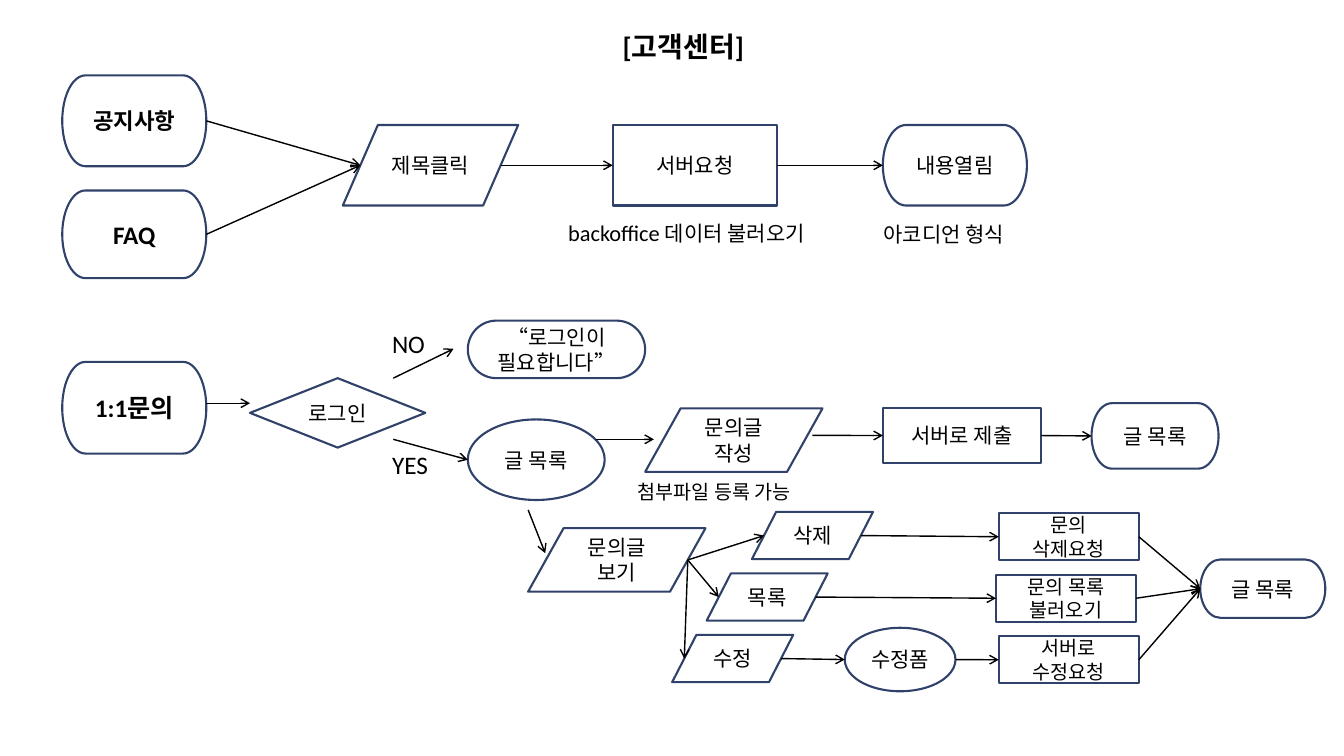
"""Build the customer-centre flow chart slide."""
from dataclasses import dataclass

from lxml.etree import SubElement
from pptx import Presentation
from pptx.dml.color import RGBColor
from pptx.enum.shapes import MSO_CONNECTOR, MSO_SHAPE
from pptx.enum.text import MSO_ANCHOR, MSO_AUTO_SIZE, PP_ALIGN
from pptx.oxml.ns import qn
from pptx.slide import Slide
from pptx.text.text import _Paragraph
from pptx.util import Cm, Pt

BLACK = RGBColor(0x00, 0x00, 0x00)
WHITE = RGBColor(0xFF, 0xFF, 0xFF)
NAVY = RGBColor(0x30, 0x41, 0x6A)
FONT = "Calibri"

TERMINAL = MSO_SHAPE.FLOWCHART_TERMINATOR
ACTION = MSO_SHAPE.FLOWCHART_DATA
PROCESS = MSO_SHAPE.FLOWCHART_PROCESS
DECISION = MSO_SHAPE.FLOWCHART_DECISION
SCREEN = MSO_SHAPE.FLOWCHART_CONNECTOR
ACTION_SLANT = 0.1

Point = tuple[float, float]


@dataclass(frozen=True)
class Step:
    kind: MSO_SHAPE
    text: str
    left: float
    top: float
    width: float
    height: float
    size: float = 15
    bold: bool = False

    @property
    def inset(self) -> float:
        return self.width * ACTION_SLANT if self.kind == ACTION else 0

    @property
    def entry(self) -> Point:
        return self.left + self.inset, self.top + self.height / 2

    @property
    def exit(self) -> Point:
        return self.left + self.width - self.inset, self.top + self.height / 2


@dataclass(frozen=True)
class Caption:
    runs: tuple[tuple[str, float], ...]
    left: float
    top: float
    width: float
    height: float
    bold: bool = False


NOTICE = Step(TERMINAL, "공지사항", 1.57, 1.9, 3.63, 2.29, 16, True)
FAQ = Step(TERMINAL, "FAQ", 1.57, 4.8, 3.63, 2.21, 18, True)
INQUIRY = Step(TERMINAL, "1:1문의", 1.57, 9.12, 3.63, 2.31, 18, True)

TITLE_CLICK = Step(ACTION, "제목클릭", 8.64, 3.15, 4.42, 2.03)
SERVER_REQUEST = Step(PROCESS, "서버요청", 15.44, 3.15, 4.14, 2.03)
CONTENT_OPEN = Step(TERMINAL, "내용열림", 22.25, 3.15, 3.63, 2.03)

LOGIN = Step(DECISION, "로그인", 6.3, 9.53, 4.42, 1.75)
LOGIN_NEEDED = Step(TERMINAL, "“로그인이 필요합니다”", 11.79, 8.08, 4.47, 1.45)
POST_LIST = Step(SCREEN, "글 목록", 11.79, 10.57, 3.45, 2.03)
WRITE = Step(ACTION, "문의글 작성", 16.26, 10.29, 4.47, 1.6)
SUBMIT = Step(PROCESS, "서버로 제출", 22.25, 10.29, 3.99, 1.37)
LIST_AFTER_SUBMIT = Step(TERMINAL, "글 목록", 27.51, 10.16, 3.2, 1.65)

VIEW = Step(ACTION, "문의글 보기", 13.31, 13.31, 4.47, 1.6)
DELETE, BACK_TO_LIST, EDIT = (
    Step(ACTION, text, left, 12.9 + row * 1.55, 3.05, 1.19)
    for row, (text, left) in enumerate((("삭제", 18.95), ("목록", 17.81), ("수정", 16.94)))
)
DELETE_REQUEST, LIST_REQUEST, EDIT_REQUEST = (
    Step(PROCESS, text, left, 12.93 + row * 1.55, 3.53, 1.19, 14)
    for row, (text, left) in enumerate(
        (("문의\n삭제요청", 25.17), ("문의 목록\n불러오기", 25.1), ("서버로\n수정요청", 25.17))
    )
)
EDIT_FORM = Step(SCREEN, "수정폼", 21.29, 15.82, 2.79, 1.6)
FINAL_LIST = Step(TERMINAL, "글 목록", 30.25, 14.1, 3.15, 1.47)

STEPS = (
    NOTICE, FAQ, INQUIRY, TITLE_CLICK, SERVER_REQUEST, CONTENT_OPEN,
    LOGIN, LOGIN_NEEDED, WRITE, POST_LIST, SUBMIT, LIST_AFTER_SUBMIT,
    VIEW, DELETE, BACK_TO_LIST, EDIT, DELETE_REQUEST, LIST_REQUEST,
    FINAL_LIST, EDIT_FORM, EDIT_REQUEST,
)

FLOWS = (
    (NOTICE, TITLE_CLICK), (FAQ, TITLE_CLICK),
    (TITLE_CLICK, SERVER_REQUEST), (SERVER_REQUEST, CONTENT_OPEN),
    (SUBMIT, LIST_AFTER_SUBMIT),
    (VIEW, DELETE), (VIEW, BACK_TO_LIST), (VIEW, EDIT),
    (DELETE, DELETE_REQUEST), (BACK_TO_LIST, LIST_REQUEST),
    (EDIT, EDIT_FORM), (EDIT_FORM, EDIT_REQUEST),
    (DELETE_REQUEST, FINAL_LIST), (LIST_REQUEST, FINAL_LIST), (EDIT_REQUEST, FINAL_LIST),
)

FREE_ARROWS = (
    ((5.2, 10.16), (6.3, 10.16)),
    ((9.91, 9.53), (11.43, 8.79)),
    ((9.91, 11.07), POST_LIST.entry),
    ((15.01, 11.07), (16.48, 11.07)),
    ((13.31, 12.85), (13.74, 13.94)),
    ((20.47, 10.97), SUBMIT.entry),
)

CAPTIONS = (
    Caption((("[고객센터]", 20),), 15.44, 0.61, 3.96, 1.07, True),
    Caption((("backoffice ", 16), ("데이터 불러오기", 15)), 14.07, 5.41, 6.88, 0.91),
    Caption((("아코디언 형식", 15),), 22.02, 5.46, 4.09, 0.86),
    Caption((("첨부파일 등록 가능", 14),), 15.82, 11.96, 5.33, 0.84),
    Caption((("NO", 18),), 9.63, 8.15, 1.6, 0.99),
    Caption((("YES", 18),), 9.63, 11.2, 2.16, 1.04),
)


def add_run(paragraph: _Paragraph, text: str, size: float, bold: bool) -> None:
    run = paragraph.add_run()
    run.text = text
    run.font.name = FONT
    run.font.size = Pt(size)
    run.font.bold = bold
    run.font.color.rgb = BLACK


def draw_step(slide: Slide, step: Step) -> None:
    shape = slide.shapes.add_shape(
        step.kind, Cm(step.left), Cm(step.top), Cm(step.width), Cm(step.height)
    )
    shape.shadow.inherit = False
    shape.fill.solid()
    shape.fill.fore_color.rgb = WHITE
    shape.line.color.rgb = NAVY
    shape.line.width = Pt(1.5)
    frame = shape.text_frame
    frame.word_wrap = True
    frame.vertical_anchor = MSO_ANCHOR.MIDDLE
    for index, line in enumerate(step.text.split("\n")):
        paragraph = frame.add_paragraph() if index else frame.paragraphs[0]
        paragraph.alignment = PP_ALIGN.CENTER
        add_run(paragraph, line, step.size, step.bold)


def draw_caption(slide: Slide, caption: Caption) -> None:
    box = slide.shapes.add_textbox(
        Cm(caption.left), Cm(caption.top), Cm(caption.width), Cm(caption.height)
    )
    box.text_frame.word_wrap = True
    box.text_frame.auto_size = MSO_AUTO_SIZE.SHAPE_TO_FIT_TEXT
    for text, size in caption.runs:
        add_run(box.text_frame.paragraphs[0], text, size, caption.bold)


def draw_arrow(slide: Slide, start: Point, end: Point) -> None:
    arrow = slide.shapes.add_connector(
        MSO_CONNECTOR.STRAIGHT, *(Cm(value) for value in (*start, *end))
    )
    arrow.line.color.rgb = BLACK
    arrow.line.width = Pt(1)
    SubElement(arrow.line._get_or_add_ln(), qn("a:tailEnd"), type="arrow")
    SubElement(arrow._element.spPr, qn("a:effectLst"))


def main() -> None:
    deck = Presentation()
    deck.slide_width, deck.slide_height = Cm(33.87), Cm(19.05)
    slide = deck.slides.add_slide(deck.slide_layouts[6])
    for step in STEPS:
        draw_step(slide, step)
    for source, target in FLOWS:
        draw_arrow(slide, source.exit, target.entry)
    for start, end in FREE_ARROWS:
        draw_arrow(slide, start, end)
    for caption in CAPTIONS:
        draw_caption(slide, caption)
    deck.save("out.pptx")


if __name__ == "__main__":
    main()
